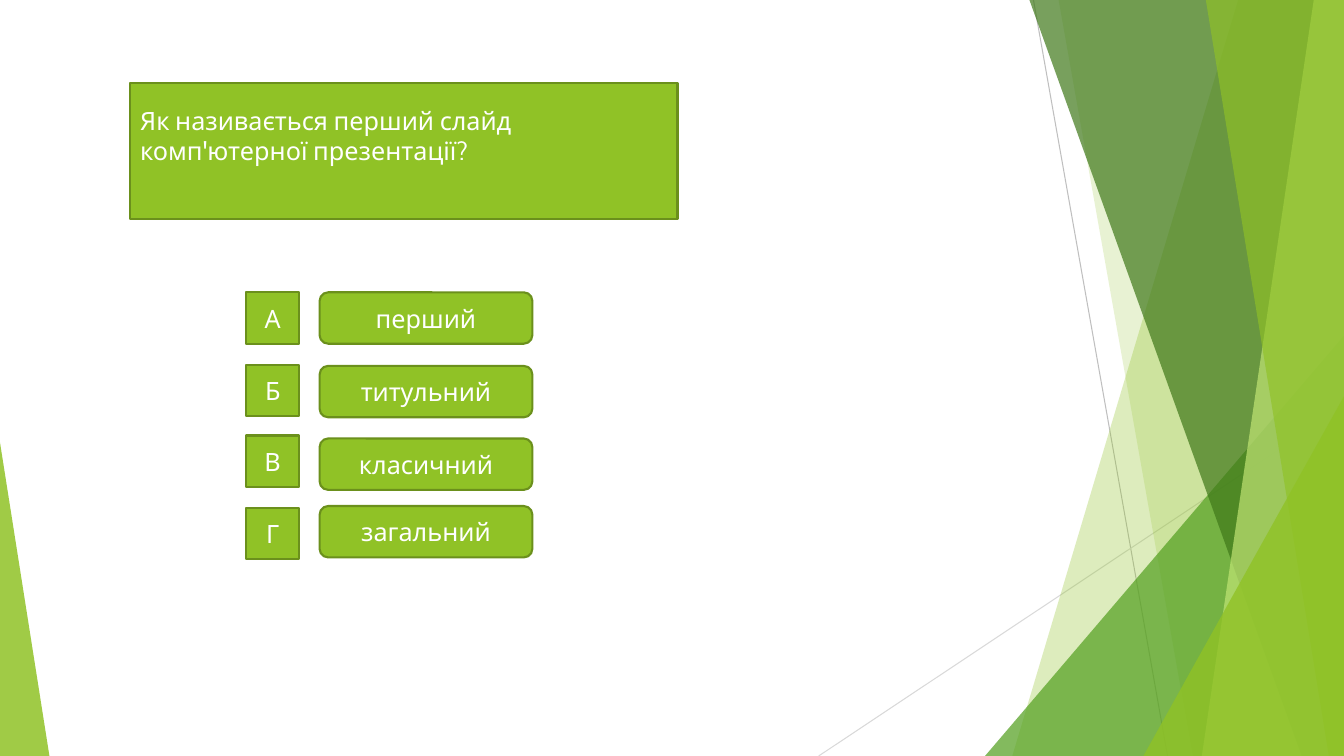
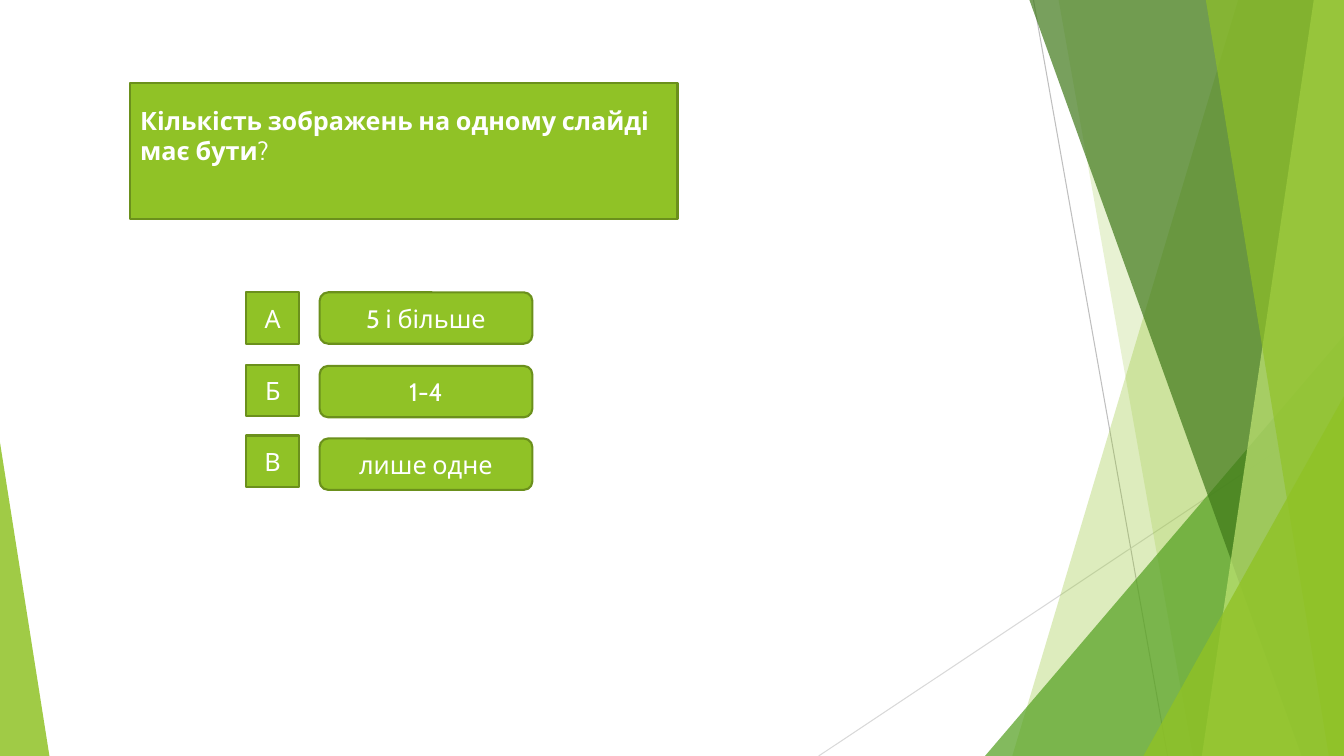
from lxml import etree
from pptx import Presentation
from pptx.dml.color import RGBColor
from pptx.enum.shapes import MSO_CONNECTOR, MSO_SHAPE
from pptx.enum.text import MSO_ANCHOR, MSO_AUTO_SIZE, PP_ALIGN
from pptx.oxml.ns import qn
from pptx.util import Inches, Pt

STRAIGHT = MSO_CONNECTOR.STRAIGHT
TRIANGLE = MSO_SHAPE.ISOSCELES_TRIANGLE
ROUNDED = MSO_SHAPE.ROUNDED_RECTANGLE
BUTTON = MSO_SHAPE.ACTION_BUTTON_CUSTOM
MIDDLE = MSO_ANCHOR.MIDDLE
NO_AUTOFIT = MSO_AUTO_SIZE.NONE
LEFT, CENTER = PP_ALIGN.LEFT, PP_ALIGN.CENTER

LIME = RGBColor(0x90, 0xC2, 0x26)
PALE_LIME = RGBColor(0xC0, 0xE4, 0x74)
GREEN = RGBColor(0x54, 0xA0, 0x21)
DARK_GREEN = RGBColor(0x3F, 0x78, 0x19)
OUTLINE = RGBColor(0x6B, 0x90, 0x1C)
GREY = RGBColor(0xBF, 0xBF, 0xBF)
LIGHT_GREY = RGBColor(0xD9, 0xD9, 0xD9)
WHITE = RGBColor(0xFF, 0xFF, 0xFF)

WIDTH, HEIGHT = 13.33, 7.5
TEXT_FORMAT = {"name": "Cabin", "size": Pt(18)}

# Backdrop, from back to front
RAYS = [((10.25, 0), (11.58, HEIGHT), GREY), ((WIDTH, 4.03), (8.12, HEIGHT), LIGHT_GREY)]
# Bands: (x at top, x at bottom); wedges: (left, top, width, apex position)
FACETS = [
    ((12.28, 10.04), LIME, 30),
    ((10.5, 11.83), LIME, 20),
    ((9.77, 3.33, 3.56, 1), GREEN, 72),
    ((10.21, 12.91), DARK_GREEN, 70),
    ((13.03, 11.92), PALE_LIME, 70),
    ((11.96, 13.18), LIME, 65),
    ((11.34, 3.93, 1.99, 1), LIME, 80),
    ((0, 4.39, 0.49, 0), LIME, 85),
]

# Quiz: the question as (text, bold) runs, then the answers
QUESTIONS = [
    ([("Як називається перший слайд комп'ютерної презентації?", False)],
     ["перший", "титульний", "класичний", "загальний"]),
    ([("Кількість зображень на одному слайді має бути", True), ("?", False)],
     ["5 і більше", "1-4", "лише одне"]),
]
LETTERS = "АБВГ"
LETTER_TOPS = [2.9, 3.62, 4.32, 5.04]
ANSWER_TOPS = [2.9, 3.63, 4.35, 5.02]
ROW_HEIGHT = 0.51


def fill_box(box, runs, alignment):
    """Give a quiz box its fill, outline and text."""
    box.fill.solid()
    box.fill.fore_color.rgb = LIME
    box.line.color.rgb = OUTLINE
    box.line.width = Pt(1.5)
    frame = box.text_frame
    frame.word_wrap = True
    frame.auto_size = NO_AUTOFIT
    frame.vertical_anchor = MIDDLE
    paragraph = frame.paragraphs[0]
    paragraph.alignment = alignment
    for text, bold in runs:
        run = paragraph.add_run()
        run.text = text
        for attribute, value in TEXT_FORMAT.items():
            setattr(run.font, attribute, value)
        run.font.bold = bold
        run.font.color.rgb = WHITE


def add_box(slide, kind, left, top, width, text):
    """Add a row-high box with one centred label."""
    box = slide.shapes.add_shape(
        kind, Inches(left), Inches(top), Inches(width), Inches(ROW_HEIGHT))
    box.shadow.inherit = False
    fill_box(box, [(text, False)], CENTER)


prs = Presentation()
prs.slide_width, prs.slide_height = Inches(WIDTH), Inches(HEIGHT)
layout = prs.slide_layouts[5]
slides = [prs.slides.add_slide(layout) for _ in QUESTIONS]

# Shared backdrop: drawn once, then moved into the layout
canvas = slides[0].shapes
backdrop = []
for start, end, color in RAYS:
    ray = canvas.add_connector(STRAIGHT, *map(Inches, start + end))
    ray.line.color.rgb = color
    ray.line.width = Pt(0.75)
    etree.SubElement(ray.element.spPr, qn("a:effectLst"))
    backdrop.append(ray)

for outline, color, opacity in FACETS:
    if len(outline) == 2:
        top_x, bottom_x = outline
        builder = canvas.build_freeform(Inches(top_x), 0)
        corners = [(WIDTH, 0), (WIDTH, HEIGHT), (bottom_x, HEIGHT)]
        builder.add_line_segments([(Inches(x), Inches(y)) for x, y in corners])
        facet = builder.convert_to_shape()
    else:
        left, top, width, apex = outline
        facet = canvas.add_shape(
            TRIANGLE, Inches(left), Inches(top), Inches(width), Inches(HEIGHT - top))
        facet.adjustments[0] = apex
    facet.shadow.inherit = False
    facet.line.fill.background()
    facet.fill.solid()
    facet.fill.fore_color.rgb = color
    tint = facet.element.spPr.find(".//" + qn("a:srgbClr"))
    etree.SubElement(tint, qn("a:alpha"), val=str(opacity * 1000))
    backdrop.append(facet)

for part in backdrop:
    layout.shapes.element.append(part.element)

# Question and answers
for slide, (question, answers) in zip(slides, QUESTIONS):
    title = slide.shapes.title
    title.left, title.top = Inches(1.29), Inches(0.82)
    title.width, title.height = Inches(5.43), Inches(1.35)
    geometry = etree.SubElement(title.element.spPr, qn("a:prstGeom"), prst="roundRect")
    etree.SubElement(geometry, qn("a:avLst"))
    fill_box(title, question, LEFT)
    title.text_frame.margin_bottom = Inches(0.35)

    for letter, letter_top, answer, answer_top in zip(
            LETTERS, LETTER_TOPS, answers, ANSWER_TOPS):
        add_box(slide, BUTTON, 2.44, letter_top, 0.53, letter)
        add_box(slide, ROUNDED, 3.17, answer_top, 2.11, answer)

prs.save("out.pptx")
